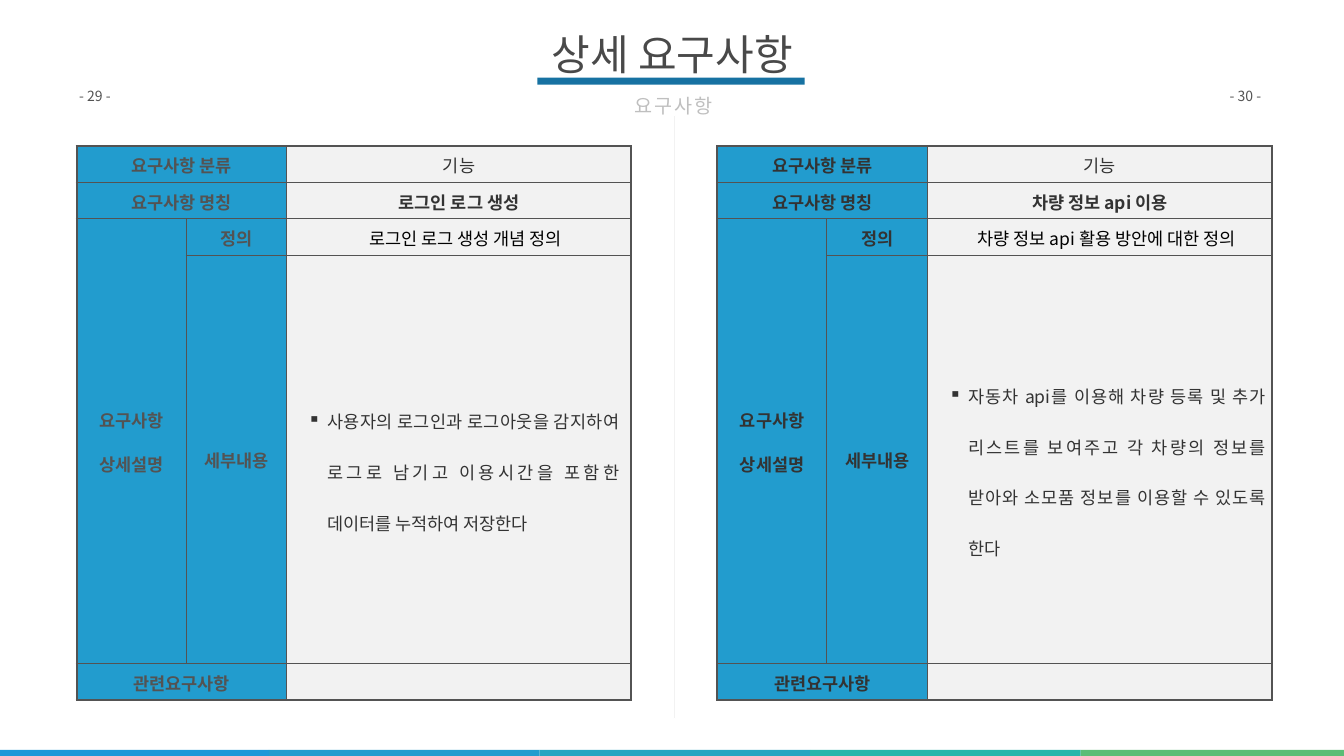
from lxml import etree
from pptx import Presentation
from pptx import util as u
from pptx.dml.color import RGBColor
from pptx.enum import shapes, text
from pptx.oxml import ns

FONT = "Noto Sans CJK KR"
COLOURS = {
    "grey": "535353", "dark": "333333", "black": "000000", "title": "494949",
    "subtitle": "BFBFBF", "rule": "1772A2", "label": "229CCE",
    "pale": "F2F2F2", "white": "FFFFFF",
}
STRIPE_COLOURS = ["1F98D8", "229CCE", "27A5C1", "24B6AB", "5BBD76"]
COLUMN_WIDTHS = [156.2, 144, 492]
ROW_HEIGHTS = [51.8, 51.8, 51.8, 584, 51.8]
COLUMN_EDGES = [3, 1, 2.25, 3]
ROW_EDGES = [3, 1, 1, 1, 1, 3]
LABELS = {
    (0, 0): "요구사항 분류", (1, 0): "요구사항 명칭",
    (2, 0): "요구사항\n상세설명", (2, 1): "정의",
    (3, 1): "세부내용", (4, 0): "관련요구사항",
}


def rgb(value):
    return RGBColor.from_string(value)


def add_element(parent, tag, **attributes):
    return etree.SubElement(parent, ns.qn(tag), **attributes)


def style_span(span, size, colour, bold=False, spacing=None):
    span.font.size = u.Pt(size)
    span.font.name = FONT
    span.font.bold = bold
    span.font.color.rgb = rgb(colour)
    properties = span.font._element
    add_element(properties, "a:ea", typeface=FONT)
    if spacing:
        properties.set("spc", str(spacing * 100))


def add_bar(slide, left, top, width, height, colour, line=None):
    bar = slide.shapes.add_shape(
        shapes.MSO_SHAPE.RECTANGLE,
        u.Pt(left), u.Pt(top), u.Pt(width), u.Pt(height))
    bar.shadow.inherit = False
    bar.fill.solid()
    bar.fill.fore_color.rgb = rgb(colour)
    if line:
        bar.line.color.rgb = rgb(line)
        bar.line.width = u.Pt(1)
    else:
        bar.line.fill.background()
    return bar


def add_text(slide, left, top, width, height, wording, size, colour,
             insets, align=None, wrap=True, spacing=None):
    box = slide.shapes.add_textbox(
        u.Pt(left), u.Pt(top), u.Pt(width), u.Pt(height))
    frame = box.text_frame
    frame.text = wording
    frame.word_wrap = wrap
    frame.auto_size = text.MSO_AUTO_SIZE.SHAPE_TO_FIT_TEXT
    frame.margin_left = frame.margin_right = u.Pt(insets[0])
    frame.margin_top = frame.margin_bottom = u.Pt(insets[1])
    para = frame.paragraphs[0]
    para.alignment = align
    style_span(para.runs[0], size, colour, spacing=spacing)
    return frame


def set_borders(cell, row, column):
    last_row = row + (cell.span_height if cell.is_merge_origin else 1)
    last_column = column + (cell.span_width if cell.is_merge_origin else 1)
    widths = {
        "a:lnL": COLUMN_EDGES[column], "a:lnR": COLUMN_EDGES[last_column],
        "a:lnT": ROW_EDGES[row], "a:lnB": ROW_EDGES[last_row],
    }
    properties = cell._tc.get_or_add_tcPr()
    for tag, width in widths.items():
        line = add_element(properties, tag, w=str(u.Pt(width)))
        fill = add_element(line, "a:solidFill")
        add_element(fill, "a:srgbClr", val=COLOURS["grey"])


def fill_cell(cell, colour, alpha=None):
    cell.fill.solid()
    cell.fill.fore_color.rgb = rgb(colour)
    if alpha:
        shade = cell._tc.tcPr.find(".//" + ns.qn("a:srgbClr"))
        add_element(shade, "a:alpha", val=str(alpha * 1000))


def write_cell(cell, wording, colour, bold=False, margin=0, indent=0):
    cell.text_frame.text = wording
    for index, para in enumerate(cell.text_frame.paragraphs):
        para.alignment = text.PP_ALIGN.CENTER
        para.line_spacing = 1.07
        para.space_after = u.Pt(12)
        if index:
            para.space_before = u.Pt(12)
        indent_para(para, margin, indent)
        style_span(para.runs[0], 25, colour, bold)


def write_detail(cell, wording, right_inset):
    cell.margin_right = u.Pt(right_inset)
    cell.text_frame.text = wording
    para = cell.text_frame.paragraphs[0]
    para.alignment = text.PP_ALIGN.JUSTIFY
    para.line_spacing = 2.0
    indent_para(para, 57, -27.4)
    add_element(para._p.pPr, "a:buChar", char="▪")
    style_span(para.runs[0], 25, COLOURS["dark"])


def indent_para(para, margin, indent):
    properties = para._p.get_or_add_pPr()
    properties.set("marL", str(u.Pt(margin)))
    properties.set("indent", str(u.Pt(indent)))


def add_requirement(slide, left, label_colour, name, definition, detail, right_inset):
    table = slide.shapes.add_table(
        len(ROW_HEIGHTS), len(COLUMN_WIDTHS), u.Pt(left), u.Pt(208.8),
        u.Pt(sum(COLUMN_WIDTHS)), u.Pt(sum(ROW_HEIGHTS))).table
    table.first_row = table.horz_banding = False
    for column, width in zip(table.columns, COLUMN_WIDTHS):
        column.width = u.Pt(width)
    for row, height in zip(table.rows, ROW_HEIGHTS):
        row.height = u.Pt(height)
    for row in (0, 1, 4):
        table.cell(row, 0).merge(table.cell(row, 1))
    table.cell(2, 0).merge(table.cell(3, 0))

    for row in range(len(ROW_HEIGHTS)):
        for column in range(len(COLUMN_WIDTHS)):
            cell = table.cell(row, column)
            cell.vertical_anchor = text.MSO_ANCHOR.MIDDLE
            cell.margin_left = cell.margin_right = u.Pt(0.72)
            cell.margin_top = cell.margin_bottom = u.Pt(0.72)
            set_borders(cell, row, column)
            if column == 2:
                fill_cell(cell, COLOURS["pale"])
            else:
                fill_cell(cell, COLOURS["label"], alpha=70)

    for (row, column), wording in LABELS.items():
        write_cell(table.cell(row, column), wording, label_colour, bold=True)
    write_cell(table.cell(0, 2), "기능", COLOURS["dark"])
    write_cell(table.cell(1, 2), name, COLOURS["dark"], True, 13.7, -13.7)
    write_cell(table.cell(2, 2), definition, COLOURS["black"], False, 34, -15)
    write_detail(table.cell(3, 2), detail, right_inset)


def main():
    deck = Presentation()
    deck.slide_width = u.Pt(1919.52)
    deck.slide_height = u.Pt(1080)
    slide = deck.slides.add_slide(deck.slide_layouts[6])

    for index, colour in enumerate(STRIPE_COLOURS):
        add_bar(slide, -2.2 + 386.4 * index, 1071.4, 386.6, 14.4, colour)

    add_requirement(
        slide, 109.4, COLOURS["grey"], "로그인 로그 생성", "로그인 로그 생성 개념 정의",
        "사용자의 로그인과 로그아웃을 감지하여 로그로 남기고 이용시간을 포함한 "
        "데이터를 누적하여 저장한다", 17)
    divider = add_bar(slide, 532.8, 594, 861.1, 3.6,
                      COLOURS["pale"], COLOURS["white"])
    divider.rotation = 90
    add_requirement(
        slide, 1024.6, COLOURS["dark"], "차량 정보 api 이용",
        "차량 정보 api 활용 방안에 대한 정의",
        "자동차 api를 이용해 차량 등록 및 추가 리스트를 보여주고 각 차량의 정보를 "
        "받아와 소모품 정보를 이용할 수 있도록 한다", 8.6)

    for left, wording in [(109.4, "- 29 -"), (1752.5, "- 30 -")]:
        add_text(slide, left, 121, 67, 31.7, wording, 20,
                 COLOURS["grey"], (3.6, 3.6))
    title = add_text(slide, 758.2, 31.7, 403.2, 89.3, "상세 요구사항", 60,
                     COLOURS["title"], (8.6, 8.6), text.PP_ALIGN.CENTER)
    title.vertical_anchor = text.MSO_ANCHOR.MIDDLE
    add_bar(slide, 767.5, 110.9, 381.6, 10.1, COLOURS["rule"])
    subtitle = add_text(slide, 887.8, 118.8, 147.6, 56.2, "요구사항", 28,
                        COLOURS["subtitle"], (17.3, 8.6),
                        text.PP_ALIGN.CENTER, wrap=False, spacing=3)
    subtitle.paragraphs[0].line_spacing = 1.2
    deck.save("out.pptx")


if __name__ == "__main__":
    main()
